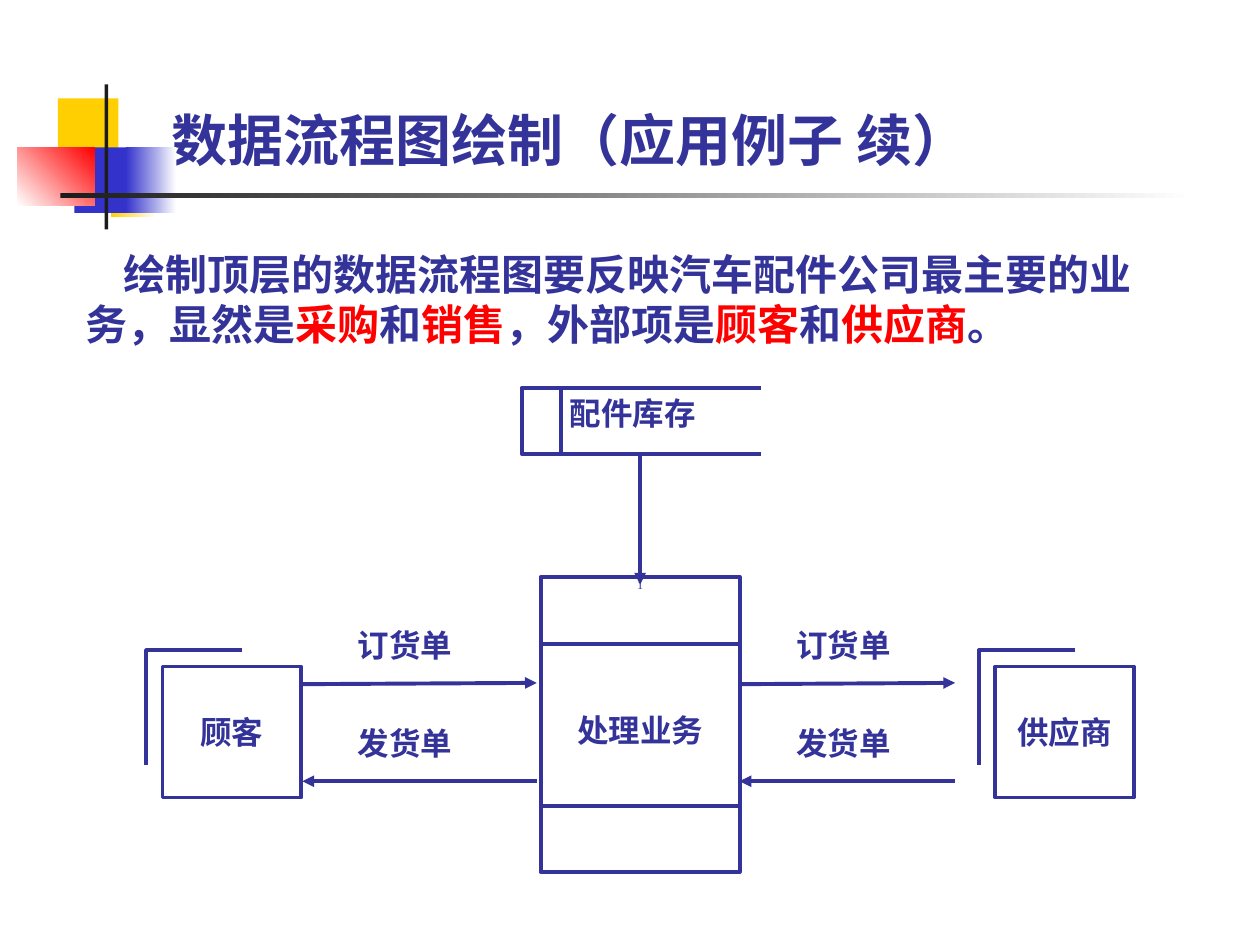
from dataclasses import dataclass
from typing import Optional

from lxml.etree import SubElement
from pptx import Presentation
from pptx.dml.color import RGBColor
from pptx.enum.shapes import MSO_CONNECTOR, MSO_SHAPE
from pptx.enum.text import MSO_ANCHOR as Anchor, MSO_AUTO_SIZE, PP_ALIGN as Align
from pptx.oxml.ns import qn
from pptx.util import Inches, Pt


@dataclass(frozen=True)
class Theme:
    ink: str = "333399"
    accent: str = "FF0000"
    white: str = "FFFFFF"
    yellow: str = "FFCF01"
    blue: str = "3333CC"
    dark: str = "1C1C1C"
    title_size: int = 32
    body_size: int = 24
    label_size: int = 18
    number_size: int = 7
    line_width: float = 2.25
    line_factor: float = 1.2
    title_font: str = "Cabin"
    body_font: str = "Noto Sans CJK SC"
    label_font: str = "Times New Roman"


THEME = Theme()


@dataclass(frozen=True)
class Box:
    left: float
    top: float
    width: float
    height: float

    def lengths(self) -> tuple:
        return tuple(Inches(v) for v in (self.left, self.top, self.width, self.height))


@dataclass(frozen=True)
class Ornament:
    box: Box
    start: str
    end: Optional[str] = None
    angle: float = 0


@dataclass(frozen=True)
class Line:
    start: tuple
    end: tuple
    arrow: bool = False


@dataclass(frozen=True)
class Entity:
    name: str
    left: float


ORNAMENTS = (
    Ornament(Box(0.46, 0.78, 0.48, 0.52), THEME.yellow),
    Ornament(Box(0.88, 1.2, 0.36, 0.52), THEME.yellow, THEME.white),
    Ornament(Box(0.59, 1.17, 0.46, 0.52), THEME.blue),
    Ornament(Box(1, 1.17, 0.4, 0.52), THEME.blue, THEME.white),
    Ornament(Box(0.14, 1.17, 0.61, 0.46), THEME.white, THEME.accent, 45),
    Ornament(Box(0.83, 0.67, 0.03, 1.15), THEME.dark),
    Ornament(Box(0.48, 1.53, 9, 0.04), THEME.dark, THEME.white),
)
PROCESS = Box(4.29, 4.58, 1.58, 2.34)
PROCESS_RIGHT = PROCESS.left + PROCESS.width
STORE = Box(4.14, 3.08, 1.9, 0.52)
STORE_BOTTOM = STORE.top + STORE.height
ENTITIES = (Entity("顾客", 1.29), Entity("供应商", 7.9))
FLOW_SPANS = ((2.4, 4.26), (PROCESS_RIGHT, 7.58))
FLOW_LABEL_LEFTS = (2.84, 6.32)
FLOW_LABELS = (("订货单", 4.9), ("发货单", 5.68))
BODY_RUNS = (
    ("绘制顶层的数据流程图要反映汽车配件公司最主要的业务，显然是", THEME.ink),
    ("采购", THEME.accent),
    ("和", THEME.ink),
    ("销售", THEME.accent),
    ("，外部项是", THEME.ink),
    ("顾客", THEME.accent),
    ("和", THEME.ink),
    ("供应商", THEME.accent),
    ("。", THEME.ink),
)


def color(value: str) -> RGBColor:
    return RGBColor.from_string(value)


def write(paragraph, text: str, *, size: float = THEME.label_size,
          font: str = THEME.label_font, ink: str = THEME.ink, bold: bool = True,
          align: Align = Align.CENTER, before: float = 0) -> None:
    paragraph.alignment = align
    paragraph.space_before = Pt(before)
    paragraph.line_spacing = Pt(round(size * THEME.line_factor, 1))
    run = paragraph.add_run()
    run.text = text
    run.font.size = Pt(size)
    run.font.bold = bold
    run.font.color.rgb = color(ink)
    run.font.name = font
    SubElement(run.font._element, qn("a:ea")).set("typeface", THEME.body_font)


def prepare_frame(shape, anchor: Anchor, margin_x: float = 0, margin_y: float = 0):
    frame = shape.text_frame
    frame.word_wrap = True
    frame.auto_size = MSO_AUTO_SIZE.NONE
    frame.vertical_anchor = anchor
    frame.margin_left = frame.margin_right = Inches(margin_x)
    frame.margin_top = frame.margin_bottom = Inches(margin_y)
    return frame


def style_line(line) -> None:
    line.color.rgb = color(THEME.ink)
    line.width = Pt(THEME.line_width)


def add_box(slide, box: Box, outlined: bool = True):
    shape = slide.shapes.add_shape(MSO_SHAPE.RECTANGLE, *box.lengths())
    shape.shadow.inherit = False
    shape.fill.solid()
    shape.fill.fore_color.rgb = color(THEME.white)
    if outlined:
        style_line(shape.line)
    else:
        shape.line.fill.background()
    return shape


def add_ornament(slide, ornament: Ornament) -> None:
    shape = add_box(slide, ornament.box, outlined=False)
    if ornament.end is None:
        shape.fill.fore_color.rgb = color(ornament.start)
        return
    shape.fill.gradient()
    shape.fill.gradient_angle = ornament.angle
    for stop, value in zip(shape.fill.gradient_stops, (ornament.start, ornament.end)):
        stop.color.rgb = color(value)


def add_line(slide, line: Line) -> None:
    points = (Inches(v) for v in (*line.start, *line.end))
    connector = slide.shapes.add_connector(MSO_CONNECTOR.STRAIGHT, *points)
    style_line(connector.line)
    if line.arrow:
        SubElement(connector.line._get_or_add_ln(), qn("a:tailEnd")).set("type", "triangle")
    SubElement(connector._element.spPr, qn("a:effectLst"))


def add_outline(slide, points: tuple) -> None:
    vertices = [(Inches(x), Inches(y)) for x, y in points]
    builder = slide.shapes.build_freeform(*vertices[0])
    builder.add_line_segments(vertices[1:], close=False)
    shape = builder.convert_to_shape()
    shape.shadow.inherit = False
    shape.fill.background()
    style_line(shape.line)


def add_label(slide, text: str, box: Box, outlined: bool, align: Align) -> None:
    frame = prepare_frame(add_box(slide, box, outlined), Anchor.MIDDLE)
    write(frame.paragraphs[0], text, align=align)


def add_title(slide) -> None:
    title = slide.shapes.title
    title.left, title.top, title.width, title.height = Box(1.26, 0.17, 8.52, 1.25).lengths()
    frame = prepare_frame(title, Anchor.BOTTOM, 0.1, 0.05)
    write(frame.paragraphs[0], "数据流程图绘制（应用例子 续）", size=THEME.title_size,
          font=THEME.title_font, align=Align.LEFT)


def add_body(slide) -> None:
    text_box = slide.shapes.add_textbox(*Box(0.58, 1.92, 8.75, 0.9).lengths())
    paragraph = prepare_frame(text_box, Anchor.TOP, 0.1, 0.05).paragraphs[0]
    paragraph._p.get_or_add_pPr().set("indent", str(Inches(0.3)))
    for text, ink in BODY_RUNS:
        write(paragraph, text, size=THEME.body_size, font=THEME.body_font,
              ink=ink, align=Align.LEFT)


def add_process(slide) -> None:
    frame = prepare_frame(add_box(slide, PROCESS), Anchor.TOP)
    write(frame.paragraphs[0], "1", size=THEME.number_size, bold=False)
    write(frame.add_paragraph(), "处理业务", before=68)
    for y in (5.11, 6.4):
        add_line(slide, Line((PROCESS.left, y), (PROCESS_RIGHT, y)))


def add_entity(slide, entity: Entity) -> None:
    add_label(slide, entity.name, Box(entity.left, 5.29, 1.1, 1.04), True, Align.CENTER)
    left = entity.left - 0.13
    add_outline(slide, ((left, 6.07), (left, 5.16), (left + 0.76, 5.16)))


def add_store(slide) -> None:
    right = STORE.left + STORE.width
    add_outline(slide, ((right, STORE.top), (STORE.left, STORE.top),
                        (STORE.left, STORE_BOTTOM), (right, STORE_BOTTOM)))
    text_box = slide.shapes.add_textbox(*Box(4.52, 3.13, 1.11, 0.47).lengths())
    write(prepare_frame(text_box, Anchor.TOP).paragraphs[0], "配件库存", align=Align.JUSTIFY)
    add_line(slide, Line((4.45, STORE.top), (4.45, STORE_BOTTOM)))


def add_flows(slide) -> None:
    for (left, right), label_left in zip(FLOW_SPANS, FLOW_LABEL_LEFTS):
        add_line(slide, Line((left, 5.43), (right, 5.42), arrow=True))
        add_line(slide, Line((right, 6.2), (left, 6.2), arrow=True))
        for text, top in FLOW_LABELS:
            add_label(slide, text, Box(label_left, top, 0.79, 0.43), False, Align.JUSTIFY)
    add_line(slide, Line((5.08, STORE_BOTTOM), (5.08, 4.64), arrow=True))


def main() -> None:
    presentation = Presentation()
    presentation.slide_width, presentation.slide_height = Inches(10), Inches(7.5)
    slide = presentation.slides.add_slide(presentation.slide_layouts[5])
    for ornament in ORNAMENTS:
        add_ornament(slide, ornament)
    add_title(slide)
    add_body(slide)
    add_process(slide)
    for entity in ENTITIES:
        add_entity(slide, entity)
    add_store(slide)
    add_flows(slide)
    presentation.save("out.pptx")


if __name__ == "__main__":
    main()
